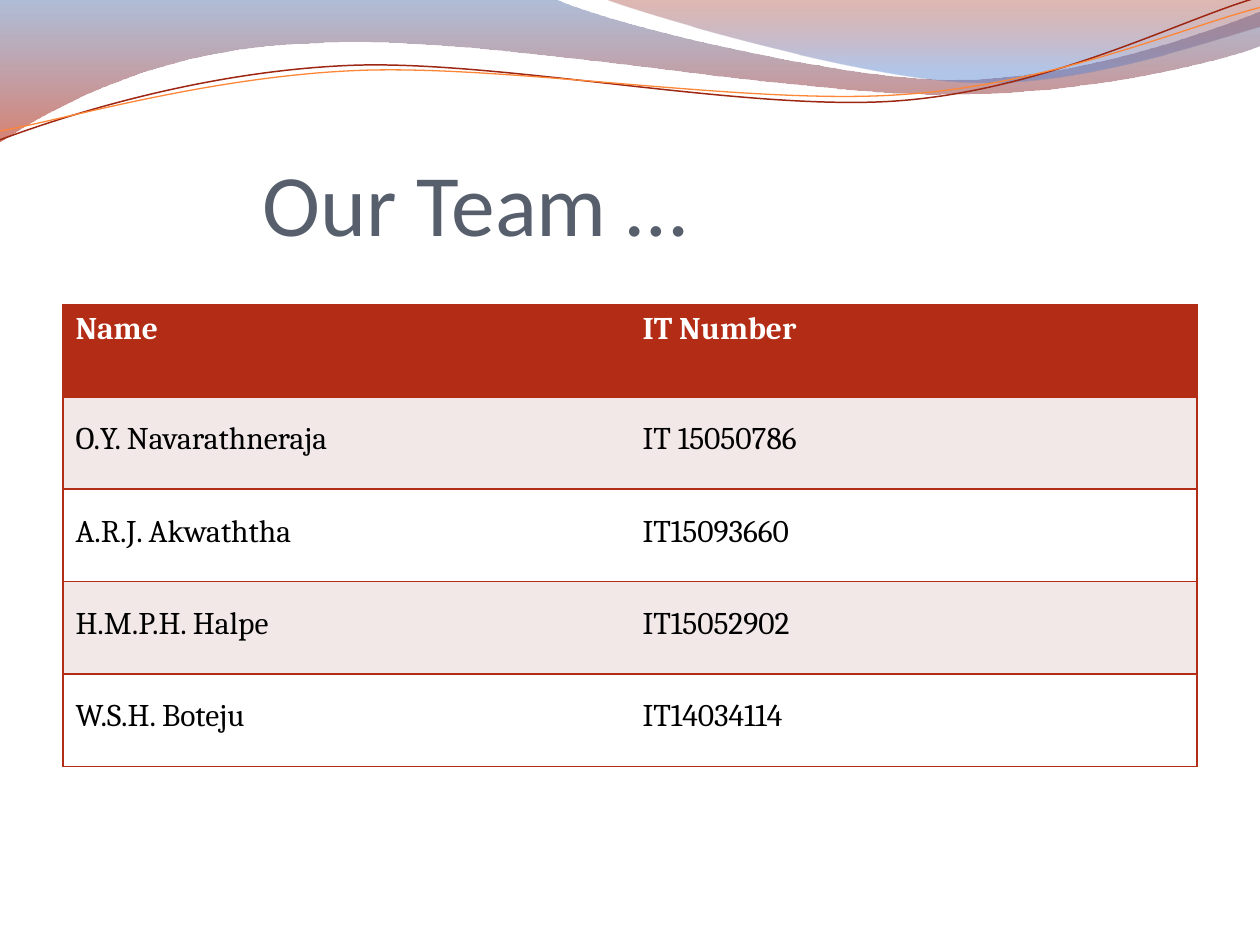
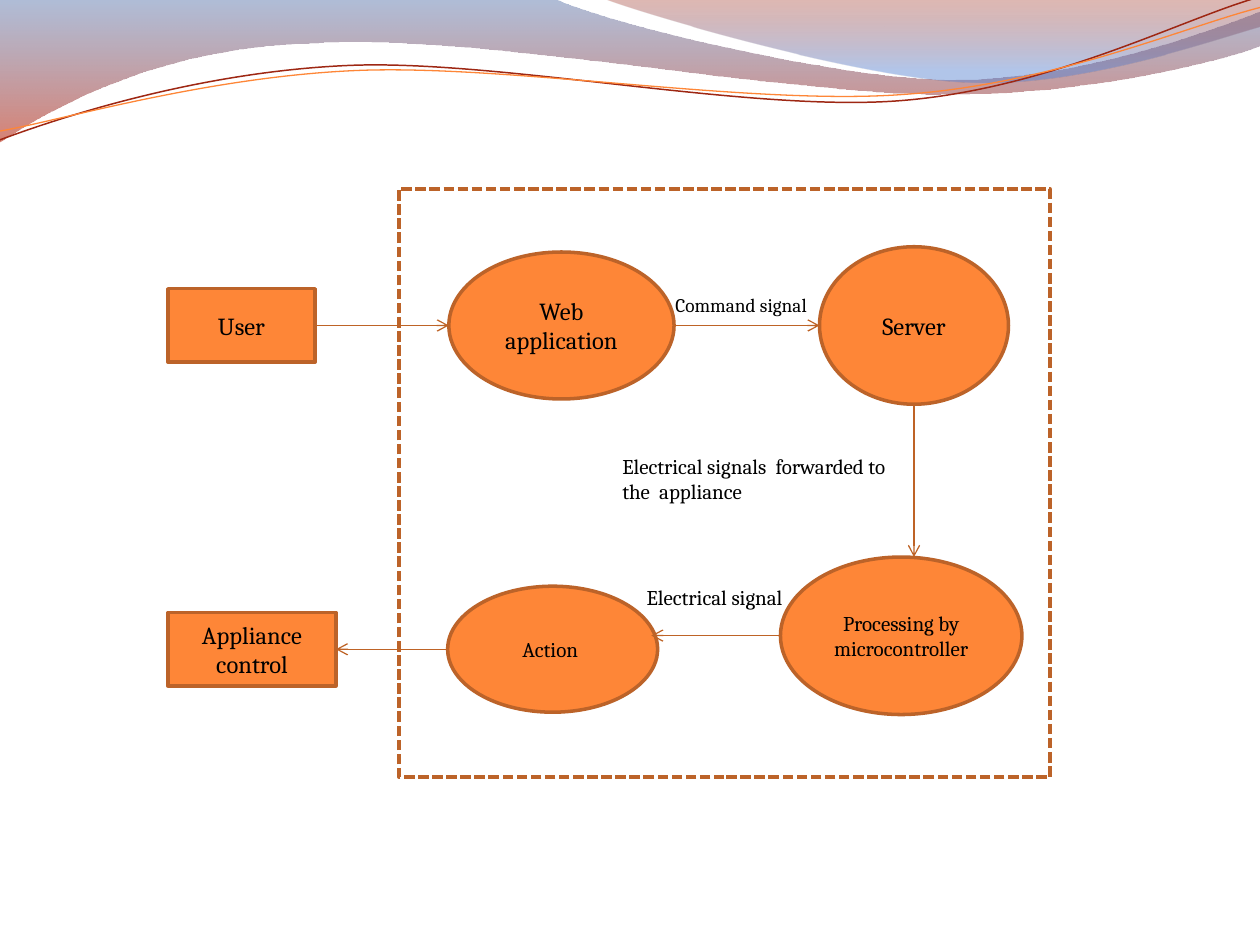
from dataclasses import dataclass
from math import cos, radians, sin
from typing import Any, Optional

from lxml.etree import SubElement
from pptx import Presentation
from pptx.dml.color import RGBColor
from pptx.enum.dml import MSO_LINE
from pptx.enum.shapes import MSO_CONNECTOR, MSO_SHAPE
from pptx.enum.text import MSO_ANCHOR, MSO_AUTO_SIZE, PP_ALIGN
from pptx.oxml import parse_xml
from pptx.oxml.ns import nsdecls, qn
from pptx.util import Pt

WHITE = RGBColor(0xFF, 0xFF, 0xFF)
BLACK = RGBColor(0x00, 0x00, 0x00)
SLATE = RGBColor(0x57, 0x5F, 0x6D)
BRICK = RGBColor(0xB3, 0x2C, 0x16)
BLUSH = RGBColor(0xF2, 0xE8, 0xE8)
ORANGE = RGBColor(0xFE, 0x86, 0x37)
RUST = RGBColor(0xBC, 0x63, 0x29)
ARROW_RUST = RGBColor(0xBE, 0x63, 0x26)
WAVE_RED = RGBColor(0x9E, 0x27, 0x13)
WAVE_NAVY = RGBColor(0x4F, 0x6E, 0xA8)
WAVE_FLAME = RGBColor(0xB6, 0x1A, 0x00)
WAVE_MAROON = RGBColor(0x95, 0x15, 0x00)
WAVE_SKY = RGBColor(0x56, 0x81, 0xD1)

TITLE_FONT = "Calibri"
BODY_FONT = "Cambria"
LINE_TILT = -2.7

Point = tuple[float, float]
Segment = tuple[Point, ...]


@dataclass(frozen=True)
class Stop:
    position: float
    color: RGBColor
    opacity: int


@dataclass(frozen=True)
class Wave:
    """Segments hold one point for a straight line, three for a Bezier curve."""
    start: Point
    segments: tuple[Segment, ...]
    stops: tuple[Stop, ...] = ()
    line_color: Optional[RGBColor] = None
    line_width: float = 0
    tilt: float = 0
    pivot: Point = (0, 0)


@dataclass(frozen=True)
class Node:
    text: str
    kind: MSO_SHAPE
    left: float
    top: float
    width: float
    height: float
    size: int = 14


@dataclass(frozen=True)
class Label:
    text: str
    left: float
    top: float
    width: float
    height: float
    size: int = 12
    wrap: bool = False


@dataclass(frozen=True)
class Arrow:
    start: Point
    end: Point


WAVES = (
    Wave((0, 0), (
        ((316.8, -0.7),),
        ((342.7, 12.2), (478.1, 45.4), (545.8, 45.4)),
        ((614.2, 45.4), (689.8, 18.7), (720, 6.5)),
        ((720.7, 25.9),),
        ((707.8, 31.7), (626.4, 54.7), (537.1, 54)),
        ((447.8, 54), (275, 20.2), (185, 24.5)),
        ((92.9, 25.9), (33.1, 59.8), (-0.7, 81.4)),
    ), stops=(Stop(0, WAVE_NAVY, 45), Stop(1, WAVE_FLAME, 55))),
    Wave((344.9, -0.7), (
        ((366.5, 7.9), (491, 44.6), (553.7, 46.8)),
        ((616.3, 49.7), (691.9, 23), (720, 15.1)),
        ((720, 0),),
    ), stops=(Stop(0, WAVE_MAROON, 30), Stop(0.8, WAVE_SKY, 45))),
    Wave((0, 79.9), (
        ((34.6, 67), (113.8, 41), (199.4, 37.4)),
        ((284.4, 33.8), (427, 64.1), (513.4, 57.6)),
        ((599.8, 51.1), (675.4, 10.8), (718.6, -1.4)),
    ), line_color=WAVE_RED, line_width=0.85, tilt=LINE_TILT, pivot=(359.3, 41.4)),
    Wave((0, 74.9), (
        ((33.8, 69.1), (118.1, 43.9), (203.8, 40.3)),
        ((290.2, 36.7), (429.8, 60.5), (516.2, 54)),
        ((601.9, 48.2), (677.5, 15.1), (720, 4.3)),
    ), line_color=ORANGE, line_width=0.75, tilt=LINE_TILT, pivot=(359.6, 42.5)),
)

TEAM = (
    ("Name", "IT Number"),
    ("O.Y. Navarathneraja", "IT 15050786"),
    ("A.R.J. Akwaththa", "IT15093660"),
    ("H.M.P.H. Halpe", "IT15052902"),
    ("W.S.H. Boteju", "IT14034114"),
)

NODES = (
    Node("User", MSO_SHAPE.RECTANGLE, 96, 165, 84, 42),
    Node("Appliance control", MSO_SHAPE.RECTANGLE, 96, 350, 96, 42),
    Node("Web application", MSO_SHAPE.OVAL, 256.5, 144, 128.7, 84),
    Node("Server", MSO_SHAPE.OVAL, 468.3, 141, 108, 90),
    Node("Action ", MSO_SHAPE.OVAL, 255.8, 335, 120, 72, 12),
    Node("Processing by microcontroller", MSO_SHAPE.OVAL, 446, 318.3, 138, 90, 12),
)
ARROWS = (
    Arrow((180, 186), (256.5, 186)),
    Arrow((385.2, 186), (468.3, 186)),
    Arrow((522.3, 231), (522.3, 318.3)),
    Arrow((446, 363.2), (372.2, 363.2)),
    Arrow((255.8, 371), (192, 371)),
)
LABELS = (
    Label("Command signal", 378.8, 164, 96, 21, 11),
    Label("Electrical signals  forwarded to the  appliance", 348.5, 255.5, 167, 36,
          wrap=True),
    Label("Electrical signal", 362.4, 330.5, 97, 22),
)


def set_values(target: Any, values: dict[str, Any]) -> None:
    for name, value in values.items():
        setattr(target, name, value)


def write_text(frame: Any, text: str, size: float, color: RGBColor = BLACK,
               font: str = BODY_FONT, bold: bool = False,
               **para_format: Any) -> None:
    para = frame.paragraphs[0]
    set_values(para, para_format)
    span = para.add_run()
    span.text = text
    set_values(span.font, {"name": font, "size": Pt(size), "bold": bold})
    span.font.color.rgb = color


def set_line(line: Any, color: RGBColor, width: float) -> None:
    line.color.rgb = color
    line.width = Pt(width)


def untilted(point: Point, wave: Wave) -> Point:
    """Turn a point back about the pivot, as the shape itself gets the tilt."""
    angle = radians(-wave.tilt)
    x, y = point[0] - wave.pivot[0], point[1] - wave.pivot[1]
    return (Pt(wave.pivot[0] + x * cos(angle) - y * sin(angle)),
            Pt(wave.pivot[1] + x * sin(angle) + y * cos(angle)))


def bend_segments(shape: Any, segments: tuple[Segment, ...]) -> None:
    """Merge the straight steps through control points into Bezier curves."""
    steps = iter(list(shape.element.iter(qn("a:lnTo"))))
    for segment in segments:
        first, *others = [next(steps) for _ in segment]
        if others:
            first.tag = qn("a:cubicBezTo")
        for step in others:
            first.append(step[0])
            step.getparent().remove(step)


def draw_wave(page: Any, wave: Wave) -> Any:
    builder = page.shapes.build_freeform(*untilted(wave.start, wave))
    builder.add_line_segments(
        [untilted(point, wave) for segment in wave.segments for point in segment],
        close=bool(wave.stops))
    shape = builder.convert_to_shape()
    bend_segments(shape, wave.segments)
    shape.rotation = wave.tilt
    shape.shadow.inherit = False
    if not wave.stops:
        shape.fill.background()
        set_line(shape.line, wave.line_color, wave.line_width)
        return shape
    shape.line.fill.background()
    shape.fill.gradient()
    shape.fill.gradient_angle = 270
    for target, stop in zip(shape.fill.gradient_stops, wave.stops):
        target.position = stop.position
        target.color.rgb = stop.color
    for color, stop in zip(shape.element.iter(qn("a:srgbClr")), wave.stops):
        SubElement(color, qn("a:alpha")).set("val", str(stop.opacity * 1000))
    return shape


def put_waves_on_master(deck: Any, page: Any) -> None:
    """Draw the waves on a page, then move them to the master all pages share."""
    tree = deck.slide_master.element.cSld.spTree
    for wave in WAVES:
        tree.append(draw_wave(page, wave).element)


def set_borders(cell: Any, edges: dict[str, bool]) -> None:
    """Add cell edges in schema order, hiding those marked False."""
    properties = cell._tc.get_or_add_tcPr()
    for index, (edge, visible) in enumerate(edges.items()):
        fill = (f'<a:solidFill><a:srgbClr val="{BRICK}"/></a:solidFill>'
                if visible else "<a:noFill/>")
        properties.insert(index, parse_xml(
            f'<a:ln{edge} {nsdecls("a")} w="{Pt(1)}">{fill}</a:ln{edge}>'))


def draw_team_table(page: Any) -> None:
    row_count, column_count = len(TEAM), len(TEAM[0])
    table = page.shapes.add_table(row_count, column_count, Pt(36), Pt(174),
                                  Pt(648), Pt(264)).table
    table.horz_banding = False
    for row, values in enumerate(TEAM):
        header = row == 0
        for column, text in enumerate(values):
            cell = table.cell(row, column)
            cell.fill.solid()
            cell.fill.fore_color.rgb = (BRICK if header
                                        else BLUSH if row % 2 else WHITE)
            write_text(cell.text_frame, text, 18, WHITE if header else BLACK,
                       bold=header, line_spacing=1.0 if header else 1.5)
            set_borders(cell, {"L": column == 0, "R": column == column_count - 1,
                               "T": True, "B": True})


def draw_title(page: Any, text: str) -> None:
    title = page.shapes.title
    set_values(title, {"left": Pt(150), "top": Pt(55.2),
                       "width": Pt(342), "height": Pt(90)})
    set_values(title.text_frame, {
        "margin_left": 0, "margin_top": Pt(3.6), "margin_right": 0,
        "margin_bottom": 0, "vertical_anchor": MSO_ANCHOR.BOTTOM,
        "auto_size": MSO_AUTO_SIZE.NONE})
    write_text(title.text_frame, text, 50, SLATE, TITLE_FONT,
               alignment=PP_ALIGN.LEFT)


def draw_system_border(page: Any) -> None:
    border = page.shapes.add_shape(MSO_SHAPE.RECTANGLE, Pt(228), Pt(108),
                                   Pt(372), Pt(336))
    border.shadow.inherit = False
    border.fill.background()
    set_line(border.line, RUST, 2)
    border.line.dash_style = MSO_LINE.SQUARE_DOT


def draw_node(page: Any, node: Node) -> None:
    shape = page.shapes.add_shape(node.kind, Pt(node.left), Pt(node.top),
                                  Pt(node.width), Pt(node.height))
    shape.shadow.inherit = False
    shape.fill.solid()
    shape.fill.fore_color.rgb = ORANGE
    set_line(shape.line, RUST, 2)
    set_values(shape.text_frame, {"word_wrap": True,
                                  "vertical_anchor": MSO_ANCHOR.MIDDLE})
    write_text(shape.text_frame, node.text, node.size, alignment=PP_ALIGN.CENTER)


def draw_arrow(page: Any, arrow: Arrow) -> None:
    connector = page.shapes.add_connector(
        MSO_CONNECTOR.STRAIGHT, *(Pt(value) for value in arrow.start + arrow.end))
    set_line(connector.line, ARROW_RUST, 0.75)
    SubElement(connector.line._get_or_add_ln(), qn("a:tailEnd")).set("type", "arrow")
    SubElement(connector.element.spPr, qn("a:effectLst"))


def draw_label(page: Any, label: Label) -> None:
    box = page.shapes.add_textbox(Pt(label.left), Pt(label.top),
                                  Pt(label.width), Pt(label.height))
    set_values(box.text_frame, {"word_wrap": label.wrap,
                                "auto_size": MSO_AUTO_SIZE.SHAPE_TO_FIT_TEXT})
    write_text(box.text_frame, label.text, label.size)


def main() -> None:
    deck = Presentation()
    set_values(deck, {"slide_width": Pt(720), "slide_height": Pt(540)})

    team_page = deck.slides.add_slide(deck.slide_layouts.get_by_name("Title Only"))
    put_waves_on_master(deck, team_page)
    draw_title(team_page, "Our Team …")
    draw_team_table(team_page)

    system_page = deck.slides.add_slide(deck.slide_layouts.get_by_name("Blank"))
    draw_system_border(system_page)
    for node in NODES:
        draw_node(system_page, node)
    for arrow in ARROWS:
        draw_arrow(system_page, arrow)
    for label in LABELS:
        draw_label(system_page, label)

    deck.save("out.pptx")


if __name__ == "__main__":
    main()
